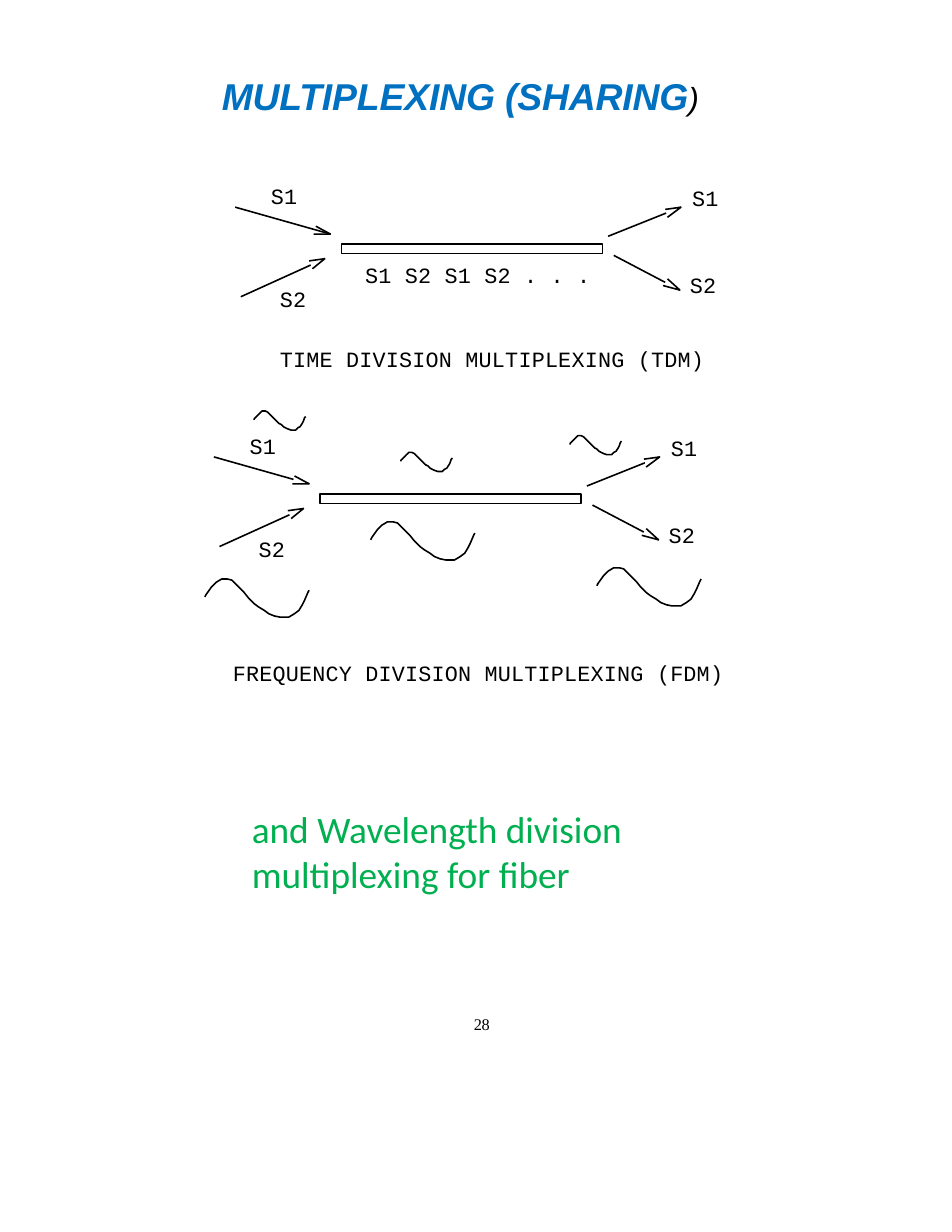
"""Build a page on time, frequency and wavelength division multiplexing."""
from math import hypot

from pptx import Presentation
from pptx.dml.color import RGBColor
from pptx.enum.shapes import MSO_SHAPE
from pptx.enum.text import MSO_AUTO_SIZE
from pptx.util import Inches, Pt

RECT = MSO_SHAPE.RECTANGLE
GROW = MSO_AUTO_SIZE.SHAPE_TO_FIT_TEXT
THEME = {
    "ink": RGBColor(0, 0, 0),
    "paper": RGBColor(255, 255, 255),
    "line": Pt(1.02),
    "title": ("Arial", 24, RGBColor(0, 112, 192), True, True, -10),
    "close": ("Arial", 20.5, RGBColor(0, 0, 0), False, True, -10),
    "label": ("Courier New", 14, RGBColor(0, 0, 0), False, False, 10),
    "note": ("Calibri", 24, RGBColor(0, 176, 80), False, False, 0),
    "page": ("Times New Roman", 10.5, RGBColor(0, 0, 0), False, False, -10),
}

deck = Presentation()
deck.slide_width, deck.slide_height = Inches(8.5), Inches(11)
COL, ROW = deck.slide_width // 850, deck.slide_height // 1100
slide = deck.slides.add_slide(deck.slide_layouts[6])
shapes = slide.shapes


def say(text, x, y, w, h, style="label", tail="", pad=(0, 0), dent=1, lead=None, gap=0):
    box = shapes.add_textbox(x * COL, y * ROW, w * COL, h * ROW)
    frame = box.text_frame
    frame.word_wrap, frame.auto_size = True, GROW
    frame.margin_left = frame.margin_right = pad[0] * COL
    frame.margin_top = frame.margin_bottom = pad[1] * ROW
    para = frame.paragraphs[0]
    props = para._p.get_or_add_pPr()
    props.set("marL", str(dent * COL))
    props.set("indent", "0")
    para.space_before = Pt(gap)
    if lead:
        para.line_spacing = Pt(lead)
    for words, key in ((text, style), (tail, "close")):
        if words:
            run = para.add_run()
            run.text = words
            font = run.font
            face, size, tint, bold, slant, space = THEME[key]
            font.name, font.size, font.bold, font.italic = face, Pt(size), bold, slant
            font.color.rgb = tint
            run._r.get_or_add_rPr().set("spc", str(space))


def draw(points, mask=False):
    pen = shapes.build_freeform(*points[0], scale=(COL, ROW))
    pen.add_line_segments(points[1:], close=mask)
    shape = pen.convert_to_shape()
    shape.shadow.inherit = False
    if mask:
        shape.fill.solid()
        shape.fill.fore_color.rgb = THEME["paper"]
        shape.line.fill.background()
    else:
        shape.fill.background()
        shape.line.color.rgb = THEME["ink"]
        shape.line.width = THEME["line"]


ARROWS = [
    ((210, 185), (295, 209), (282, 202), (280, 209)),
    ((215, 265), (290, 231), (276, 233), (279, 240)),
    ((543, 211), (608, 185), (594, 187), (596, 194)),
    ((548, 228), (607, 259), (596, 249), (592, 255)),
]
LABELS = [("S1", 241, 163), ("S2", 249, 255), ("S1", 617, 165), ("S2", 615, 243)]

for dx, dy in ((0, 0), (-19, 223)):
    bar = shapes.add_shape(RECT, (305 + dx) * COL, (218 + dy) * ROW, 233 * COL, 8.5 * ROW)
    bar.shadow.inherit = False
    bar.fill.background()
    bar.line.color.rgb = THEME["ink"]
    bar.line.width = THEME["line"]
    for index, arrow in enumerate(ARROWS):
        start, tip, left, right = [(x + dx, y + dy) for x, y in arrow]
        draw([start, tip])
        if index or dy:
            run, rise = tip[0] - start[0], tip[1] - start[1]
            reach = 3 / hypot(run, rise)
            draw([left, (tip[0] + reach * run, tip[1] + reach * rise), right], mask=True)
        draw([left, tip, right])
    for name, x, y in LABELS:
        say(name, x + dx, y + dy, 27, 27)

WAVE = [
    (0, 0), (1, -2), (6, -9), (10, -13), (15, -16), (20, -16), (24, -15),
    (27, -12), (31, -8), (35, -4), (39, 1), (44, 6), (48, 9), (53, 12),
    (57, 15), (62, 17), (67, 18), (75, 18), (80, 15), (84, 12), (87, 7),
    (89, 3), (92, -4), (93.5, -6),
]
for x, y, size in (
    (227, 375, 0.49), (358, 412, 0.49), (509, 397, 0.49),
    (183, 533, 1), (331, 482, 1), (533, 523, 1),
):
    draw([(x + size * px, y + size * py) for px, py in WAVE])

say("MULTIPLEXING (SHARING", 197, 65, 472, 40, "title", tail=")")
say("S1 S2 S1 S2 . . .", 325, 234, 205, 27)
say("TIME DIVISION MULTIPLEXING (TDM)", 249, 309, 384, 27)
say("FREQUENCY DIVISION MULTIPLEXING (FDM)", 172, 589, 516, 56, dent=36)
say("and Wavelength division multiplexing for fiber", 215, 715, 486, 91, "note",
    pad=(10, 5), dent=0)
say("28", 420, 906, 21, 18, "page", dent=3, lead=12.3, gap=0.6)

deck.save("out.pptx")
